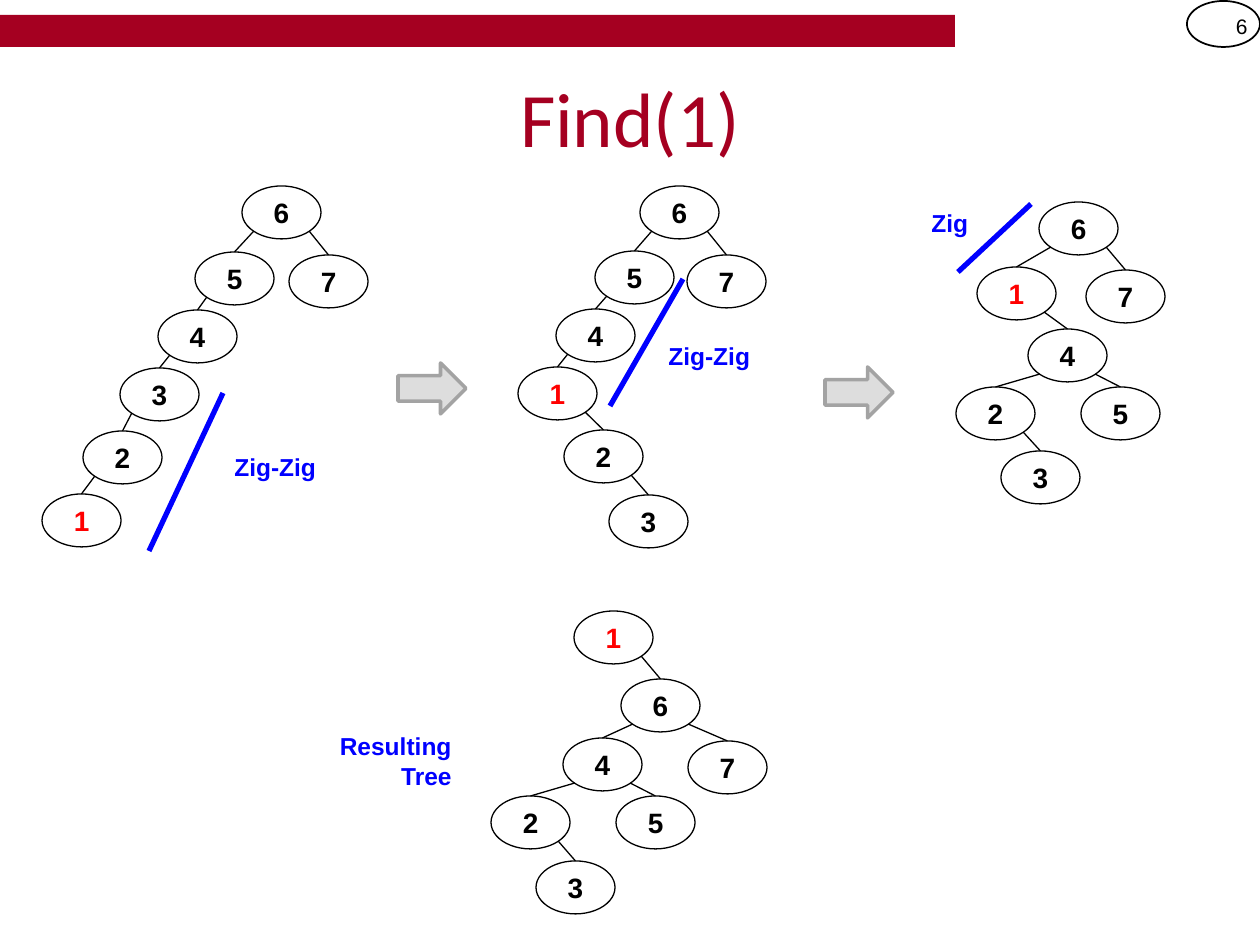
import pptx
import pptx.dml.color
import pptx.enum.shapes
import pptx.enum.text
import pptx.oxml.ns
import pptx.util
import lxml.etree

SCALE = 914400 // 126
COLOURS = {
    "crimson": "A50021", "black": "000000", "red": "FF0000", "blue": "0000FF",
    "arrow": "DDDDDD", "arrow_edge": "A3A3A3",
}
SHAPES = pptx.enum.shapes.MSO_SHAPE
ALIGN = pptx.enum.text.PP_ALIGN
ANCHOR = pptx.enum.text.MSO_ANCHOR
AUTO = pptx.enum.text.MSO_AUTO_SIZE

NODE_WIDTH, NODE_HEIGHT = 79, 53
DIAGONAL = 0.15  # share of a node's size from its edge to its lower corner point

# Each tree: its origin, then key: (left, top, parent key)
TREES = [
    ((42, 186), {6: (200, 0, None), 5: (153, 66, 6), 7: (247, 69, 6), 4: (116, 124, 5),
                 3: (78, 182, 4), 2: (41, 245, 3), 1: (0, 308, 2)}),
    ((518, 186), {6: (122, 0, None), 5: (77, 65, 6), 7: (169, 69, 6), 4: (38, 123, 5),
                  1: (0, 181, 4), 2: (46, 244, 1), 3: (91, 309, 2)}),
    ((956, 202), {6: (83, 0, None), 1: (21, 65, 6), 7: (130, 68, 6), 4: (72, 127, 1),
                  2: (0, 185, 4), 5: (125, 185, 4), 3: (45, 249, 2)}),
    ((491, 611), {1: (83, 0, None), 6: (130, 68, 1), 4: (72, 127, 6), 7: (197, 130, 6),
                  2: (0, 185, 4), 5: (125, 185, 4), 3: (45, 250, 2)}),
]
# Rotation labels: text, box, alignment
LABELS = [
    ("Zig-Zig", (222, 446, 213, 42), ALIGN.LEFT),
    ("Zig-Zig", (656, 335, 213, 42), ALIGN.LEFT),
    ("Zig", (919, 202, 74, 42), ALIGN.LEFT),
    ("Resulting Tree", (309, 725, 155, 72), ALIGN.RIGHT),
]
ROTATION_LINES = [(149, 551, 223, 393), (610, 406, 683, 279), (958, 272, 1031, 204)]
STEP_ARROWS = [(398, 363, 68, 51), (825, 367, 68, 51)]


def emu(*pixels):
    """Turn pixel lengths into EMU."""
    return [round(pixel * SCALE) for pixel in pixels]


def colour(name):
    """Look up a named colour."""
    return pptx.dml.color.RGBColor.from_string(COLOURS[name])


def apply(target, values):
    """Set each attribute in a dict of format values."""
    for name, value in values.items():
        setattr(target, name, value)


def write(shape, text, font, size, tint, align, bold=False, frame=None):
    """Write one formatted paragraph into a shape."""
    apply(shape.text_frame, {"word_wrap": True, "vertical_anchor": ANCHOR.MIDDLE, **(frame or {})})
    para = shape.text_frame.paragraphs[0]
    para.alignment = align
    span = para.add_run()
    span.text = text
    apply(span.font, {"name": font, "size": pptx.util.Pt(size), "bold": bold})
    span.font.color.rgb = colour(tint)


def add_shape(page, kind, box, fill=None, line=None, width=1):
    """Add a preset shape with optional fill and outline."""
    shape = page.shapes.add_shape(kind, *emu(*box))
    shape.shadow.inherit = False
    for part, tint in ((shape.fill, fill), (shape.line.fill, line)):
        if tint:
            part.solid()
            part.fore_color.rgb = colour(tint)
        else:
            part.background()
    if line:
        shape.line.width = pptx.util.Pt(width)
    return shape


def add_line(page, ends, tint, width):
    """Add a straight line between two points."""
    line = page.shapes.add_connector(pptx.enum.shapes.MSO_CONNECTOR.STRAIGHT, *emu(*ends))
    line.line.color.rgb = colour(tint)
    line.line.width = pptx.util.Pt(width)
    lxml.etree.SubElement(line._element.spPr, pptx.oxml.ns.qn("a:effectLst"))


def add_header(page, box):
    """Place the bar, the page number and the title within the header box."""
    left, top, width, height = box
    add_shape(page, SHAPES.RECTANGLE, (left, top + 15, 955, 32), "crimson")
    badge = (left + width - 73, top + 1, 73, 46)
    add_shape(page, SHAPES.OVAL, badge, line="black")
    number = page.shapes.add_textbox(*emu(*badge[:3], 50))
    write(number, "6", "Arial", 12, "black", ALIGN.RIGHT)
    title = page.shapes.add_textbox(*emu(left + 63, top + 38, width - 126, height - 38))
    write(title, "Find(1)", "Calibri", 44, "crimson", ALIGN.CENTER)


def add_tree(page, origin, nodes):
    """Draw a binary tree, with edges from each parent's lower side to its child's top."""
    left, top = origin
    for key, (x, y, parent) in nodes.items():
        if parent is not None:
            parent_x, parent_y, _ = nodes[parent]
            side = DIAGONAL if x < parent_x else 1 - DIAGONAL
            add_line(page, (left + parent_x + side * NODE_WIDTH,
                            top + parent_y + (1 - DIAGONAL) * NODE_HEIGHT,
                            left + x + NODE_WIDTH / 2, top + y), "black", 0.75)
        node = add_shape(page, SHAPES.OVAL, (left + x, top + y, NODE_WIDTH, NODE_HEIGHT),
                         line="black", width=0.75)
        write(node, str(key), "Arial", 16, "red" if key == 1 else "black", ALIGN.CENTER,
              True, {"margin_left": 0, "margin_right": 0})


def add_steps(page):
    """Add the rotation lines, their labels and the arrows between trees."""
    for ends in ROTATION_LINES:
        add_line(page, ends, "blue", 3)
    for box in STEP_ARROWS:
        add_shape(page, SHAPES.RIGHT_ARROW, box, "arrow", "arrow_edge", 2)
    for text, box, align in LABELS:
        label = page.shapes.add_textbox(*emu(*box))
        write(label, text, "Arial", 14, "blue", align, True,
              {"vertical_anchor": ANCHOR.TOP, "auto_size": AUTO.SHAPE_TO_FIT_TEXT})


def main():
    """Build and save the deck."""
    deck = pptx.Presentation()
    apply(deck, {"slide_width": pptx.util.Inches(10), "slide_height": pptx.util.Inches(7.5)})
    page = deck.slides.add_slide(deck.slide_layouts[6])
    add_header(page, (0, 0, 1260, 195))
    for origin, nodes in TREES:
        add_tree(page, origin, nodes)
    add_steps(page)
    deck.save("out.pptx")


main()
